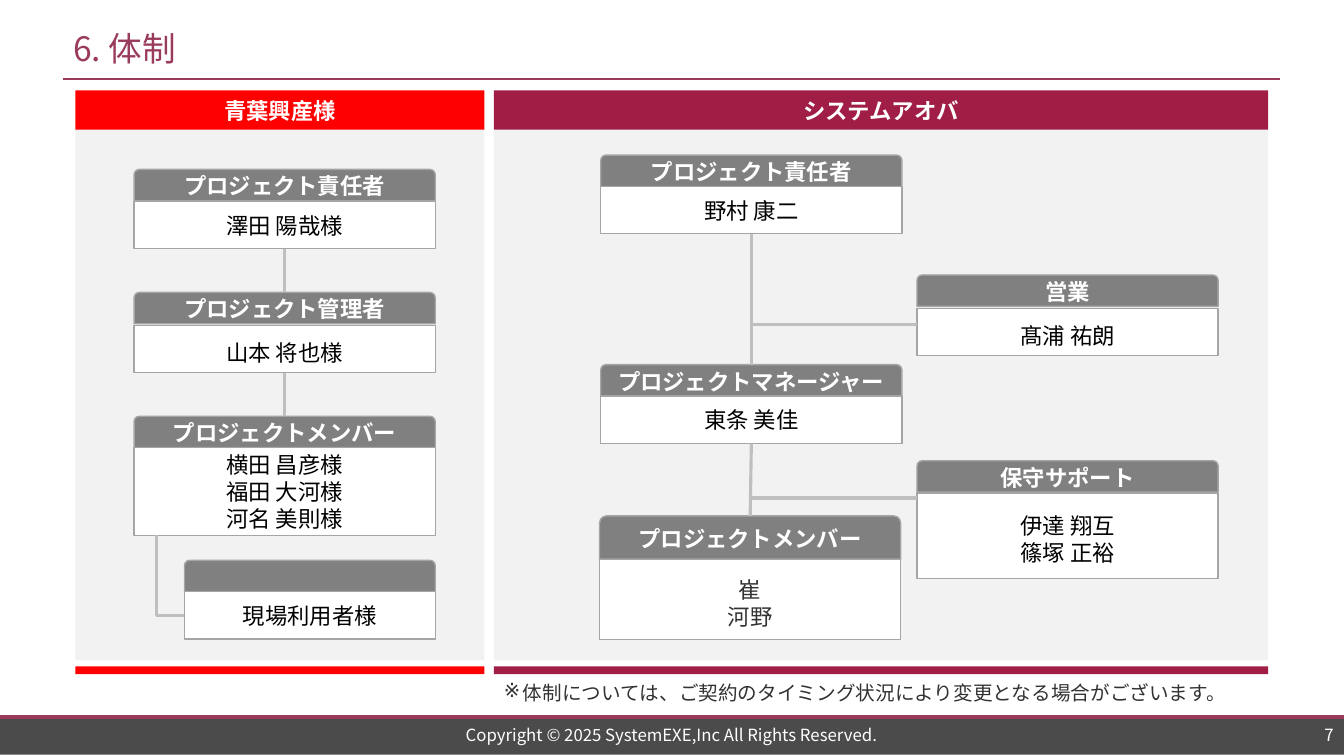
"""Build the project organisation slide with a client team and a vendor team."""
import pptx
import pptx.dml.color
import pptx.enum.shapes
import pptx.enum.text
import pptx.oxml
import pptx.oxml.ns
import pptx.oxml.xmlchemy
import pptx.util

Cm = pptx.util.Cm
Pt = pptx.util.Pt
SHAPE = pptx.enum.shapes.MSO_SHAPE
CONNECTOR = pptx.enum.shapes.MSO_CONNECTOR
ALIGN = pptx.enum.text.PP_ALIGN
ANCHOR = pptx.enum.text.MSO_ANCHOR
qn = pptx.oxml.ns.qn
new_element = pptx.oxml.xmlchemy.OxmlElement

COLOURS = {
    "white": "FFFFFF", "black": "000000", "text": "323232", "soft": "333333",
    "footer": "4B4B4B", "rule": "9A3B5D", "panel": "F2F2F2", "vendor": "A01D45",
    "client": "FF0000", "head": "808080", "border": "A5A5A5", "link": "BFBFBF",
}
RGB = {name: pptx.dml.color.RGBColor.from_string(value) for name, value in COLOURS.items()}
NOTO = "Noto Sans CJK JP"

deck = pptx.Presentation()
deck.slide_width, deck.slide_height = Cm(33.87), Cm(19.05)
page = deck.slides.add_slide(deck.slide_layouts[6])


def add_box(area, text="", fill=None, line=None, kind=SHAPE.RECTANGLE, size=16, colour="white",
            bold=False, font="Arial", align=ALIGN.CENTER, anchor=ANCHOR.MIDDLE, insets=(0.25, 0.13)):
    area = [Cm(value) for value in area]
    if fill:
        box = page.shapes.add_shape(kind, *area)
        box.shadow.inherit = False
        box.fill.solid()
        box.fill.fore_color.rgb = RGB[fill]
        if line:
            box.line.color.rgb = RGB[line]
            box.line.width = Pt(1)
        else:
            box.line.fill.background()
    else:
        box = page.shapes.add_textbox(*area)
    if not text:
        return box
    frame = box.text_frame
    frame.text = text
    frame.word_wrap = True
    frame.vertical_anchor = anchor
    frame.margin_left = frame.margin_right = Cm(insets[0])
    frame.margin_top, frame.margin_bottom = Cm(insets[1]), Cm(0.13)
    for para in frame.paragraphs:
        para.alignment = align
        for span in para.runs:
            span.font.size = Pt(size)
            span.font.bold = bold
            span.font.name = font
            span.font.color.rgb = RGB[colour]
            east_asian = new_element("a:ea")
            east_asian.set("typeface", NOTO)
            span.font._element.find(qn("a:latin")).addnext(east_asian)
    return box


def add_line(start, end, colour="link", width=2.25):
    line = page.shapes.add_connector(CONNECTOR.STRAIGHT, *[Cm(value) for value in (*start, *end)])
    line.line.color.rgb = RGB[colour]
    line.line.width = Pt(width)
    line._element.spPr.append(new_element("a:effectLst"))
    return line


add_box((0, 18.03, 33.87, 0.99), fill="footer")
add_line((0, 18.06), (33.87, 18.06), "rule", 2.75)
add_line((1.6, 1.98), (32.26, 1.98), "rule", 1.5)
add_box((1.6, 0.51, 30.66, 1.4), "6. 体制", size=24, colour="rule", font=NOTO, align=ALIGN.LEFT)
add_box((8.43, 18.21, 16.99, 0.61), "Copyright © 2025 SystemEXE,Inc All Rights Reserved.", size=12, font=NOTO)
add_box((29.87, 18.21, 3.99, 0.61), "7", size=12, font=NOTO, align=ALIGN.RIGHT)

for left, width, colour, team in [(1.9, 10.31, "client", "青葉興産様"), (12.45, 19.51, "vendor", "システムアオバ")]:
    add_box((left, 3.25, width, 13.39), fill="panel")
    add_box((left, 2.28, width, 0.99), team, fill=colour, bold=True)
    add_box((left, 16.79, width, 0.2), fill=colour)

TIGHT, LOW = (0.1, 0.13), (0.2, 0.3)
cards = [
    ("client owner", 3.38, 7.59, 4.27, 0.79, 5.08, 1.19, "プロジェクト責任者", "澤田 陽哉様", NOTO, "black", TIGHT),
    ("client manager", 3.38, 7.59, 7.37, 0.79, 8.2, 1.19, "プロジェクト管理者", "山本 将也様", "Arial", "black", LOW),
    ("client members", 3.38, 7.59, 10.49, 0.79, 11.28, 2.21, "プロジェクトメンバー",
     "横田 昌彦様\n福田 大河様\n河名 美則様", "Arial", "black", TIGHT),
    ("site users", 4.65, 6.32, 14.12, 0.79, 14.91, 1.19, "", "現場利用者様", "Arial", "black", TIGHT),
    ("vendor owner", 15.14, 7.59, 3.91, 0.79, 4.7, 1.19, "プロジェクト責任者", "野村 康二", "Arial", "black", TIGHT),
    ("vendor manager", 15.14, 7.59, 9.19, 0.79, 9.98, 1.19, "プロジェクトマネージャー", "東条 美佳", "Arial", "black", TIGHT),
    ("vendor members", 15.11, 7.59, 13, 1.09, 14.1, 2.01, "プロジェクトメンバー", "崔\n河野", NOTO, "soft", LOW),
    ("sales", 23.11, 7.59, 6.93, 0.79, 7.77, 1.19, "営業", "髙浦 祐朗", "Arial", "black", LOW),
    ("support", 23.11, 7.59, 11.61, 0.79, 12.42, 2.16, "保守サポート", "伊達 翔互\n篠塚 正裕", NOTO, "black", LOW),
]
heads, bodies = {}, {}
for key, left, width, top, head_height, body_top, body_height, role, people, font, colour, insets in cards:
    heads[key] = add_box((left, top, width, head_height), role, "head", "border",
                         SHAPE.ROUND_2_SAME_RECTANGLE, bold=True, insets=TIGHT)
    bodies[key] = add_box((left, body_top, width, body_height), people, "white", "border",
                          colour=colour, font=font, insets=insets)

for team in ("client", "vendor"):
    for upper, lower in [("owner", "manager"), ("manager", "members")]:
        link = add_line((0, 0), (0, 0))
        link.begin_connect(bodies[f"{team} {upper}"], 2)
        link.end_connect(heads[f"{team} {lower}"], 0)

for height in (8.18, 12.55):
    add_line((23.11, height), (18.9, height))

users_link = add_line((3.28, 14.14), (5.3, 14.85))
users_link._element.spPr.find(qn("a:prstGeom")).set("prst", "bentConnector2")
users_frame = users_link._element.spPr.find(qn("a:xfrm"))
users_frame.set("rot", "16200000")
users_frame.set("flipH", "1")

note = add_box((12.45, 17.04, 19.81, 1.12), "体制については、ご契約のタイミング状況により変更となる場合がございます。",
               size=14, colour="text", font=NOTO, align=ALIGN.LEFT, anchor=ANCHOR.TOP)
note_format = note.text_frame.paragraphs[0]._p.get_or_add_pPr()
note_format.set("marL", str(Cm(0.48)))
note_format.set("indent", str(-Cm(0.48)))
bullet = new_element("a:buChar")
bullet.set("char", "※")
note_format.append(bullet)

deck.save("out.pptx")
